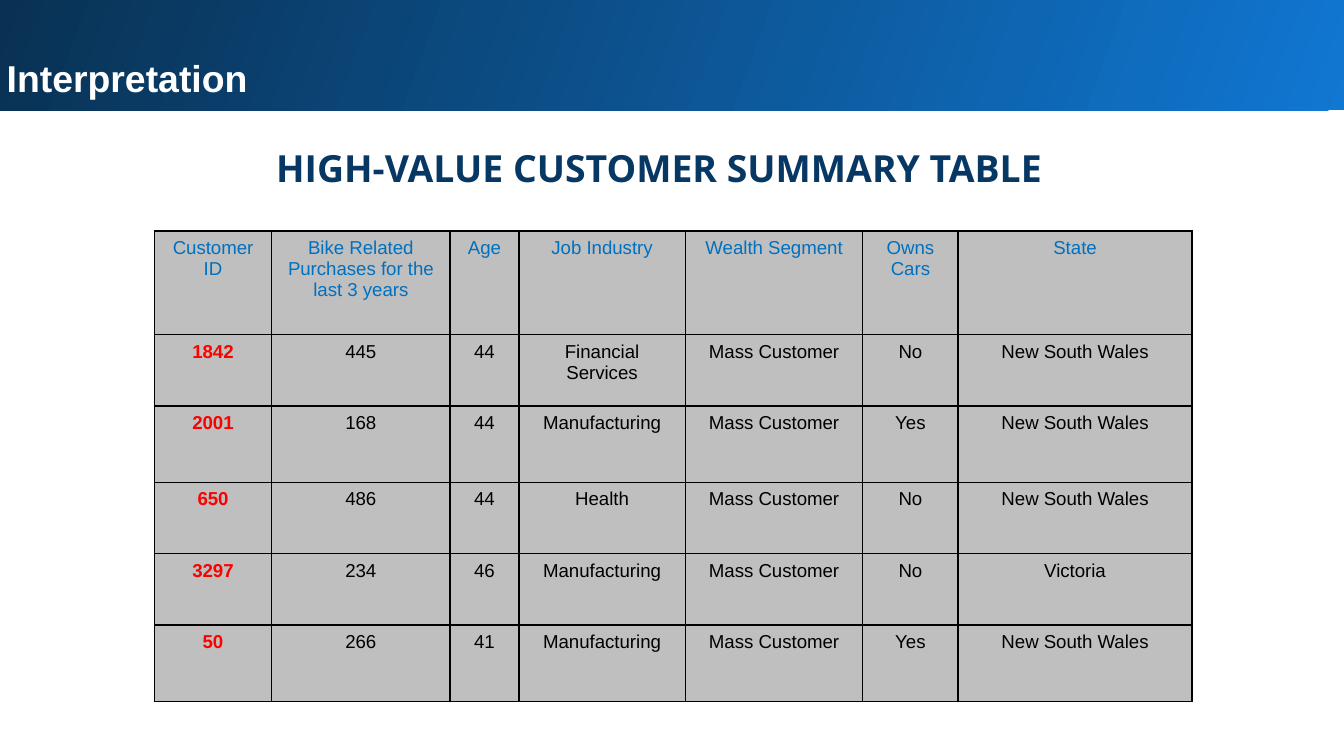
from dataclasses import dataclass

from lxml import etree
from pptx import Presentation
from pptx import util as u
from pptx.dml.color import RGBColor
from pptx.enum import shapes, text
from pptx.oxml import ns

COLORS = {
    "white": "FFFFFF", "black": "000000", "navy": "073763", "red": "FF0000",
    "header": "0070C0", "cell": "BFBFBF", "bright": "1077D2", "dark": "093153",
}
ROW_HEIGHTS = [0.77, 0.53, 0.57, 0.53, 0.53, 0.57]


@dataclass
class Column:
    """A table column: heading, width in inches and body values."""
    heading: str
    width: float
    values: list[str]
    color: str = "black"
    bold: bool = False


COLUMNS = [
    Column("Customer ID", 0.87, ["1842", "2001", "650", "3297", "50"], "red", True),
    Column("Bike Related Purchases for the last 3 years", 1.33,
           ["445", "168", "486", "234", "266"]),
    Column("Age", 0.51, ["44", "44", "44", "46", "41"]),
    Column("Job Industry", 1.24,
           ["Financial Services", "Manufacturing", "Health", "Manufacturing", "Manufacturing"]),
    Column("Wealth Segment", 1.32, ["Mass Customer"] * 5),
    Column("Owns Cars", 0.71, ["No", "Yes", "No", "No", "Yes"]),
    Column("State", 1.74, ["New South Wales"] * 3 + ["Victoria", "New South Wales"]),
]


def rgb(name: str) -> RGBColor:
    """Look up a named colour."""
    return RGBColor.from_string(COLORS[name])


def write(frame, content: str, size: float, color: str, bold: bool = False,
          font: str = "Arial", align=text.PP_ALIGN.CENTER):
    """Fill a text frame with one styled paragraph and return it."""
    frame.word_wrap = True
    paragraph = frame.paragraphs[0]
    paragraph.text = content
    paragraph.alignment = align
    paragraph.font.size = u.Pt(size)
    paragraph.font.name = font
    paragraph.font.bold = bold
    paragraph.font.color.rgb = rgb(color)
    return paragraph


def add_borders(cell, color: str, width: float) -> None:
    """Draw a solid line on all four sides of a cell."""
    properties = cell._tc.get_or_add_tcPr()
    for side in ("lnL", "lnR", "lnT", "lnB"):
        line = etree.SubElement(properties, ns.qn(f"a:{side}"), w=str(u.Pt(width)))
        fill = etree.SubElement(line, ns.qn("a:solidFill"))
        etree.SubElement(fill, ns.qn("a:srgbClr"), val=COLORS[color])


def add_title(slide) -> None:
    """Add the table title."""
    box = slide.shapes.add_textbox(u.Inches(0.22), u.Inches(0.93), u.Inches(9.37), u.Inches(0.56))
    frame = box.text_frame
    frame.margin_top = frame.margin_bottom = u.Inches(0.1)
    paragraph = write(frame, "HIGH-VALUE CUSTOMER SUMMARY TABLE", 20, "navy", True, "Open Sans")
    paragraph.line_spacing = 1.15


def add_customer_table(slide) -> None:
    """Add the customer table, one column at a time."""
    table = slide.shapes.add_table(
        len(ROW_HEIGHTS), len(COLUMNS), u.Inches(1.15), u.Inches(1.72),
        u.Inches(sum(column.width for column in COLUMNS)), u.Inches(sum(ROW_HEIGHTS))).table
    table.horz_banding = False
    for row, height in zip(table.rows, ROW_HEIGHTS):
        row.height = u.Inches(height)
    for index, column in enumerate(COLUMNS):
        table.columns[index].width = u.Inches(column.width)
        for row_index, content in enumerate([column.heading, *column.values]):
            cell = table.cell(row_index, index)
            add_borders(cell, "black", 1)
            cell.fill.solid()
            cell.fill.fore_color.rgb = rgb("cell")
            if row_index == 0:
                write(cell.text_frame, content, 10, "header")
            else:
                write(cell.text_frame, content, 10, column.color, column.bold)


def add_banner(slide) -> None:
    """Add the gradient banner with the slide heading."""
    banner = slide.shapes.add_shape(shapes.MSO_SHAPE.RECTANGLE, 0, 0, u.Inches(10.05), u.Inches(0.82))
    banner.shadow.inherit = False
    banner.line.fill.background()
    banner.fill.gradient()
    banner.fill.gradient_angle = 160
    for stop, color, position in zip(banner.fill.gradient_stops, ("bright", "dark"), (0, 1)):
        stop.color.rgb = rgb(color)
        stop.position = position
    frame = banner.text_frame
    frame.margin_left = frame.margin_right = frame.margin_bottom = u.Inches(0.05)
    frame.margin_top = u.Inches(0.38)
    frame.vertical_anchor = text.MSO_ANCHOR.MIDDLE
    write(frame, "Interpretation", 20, "white", True, align=text.PP_ALIGN.LEFT)


def main() -> None:
    """Build and save the slide."""
    presentation = Presentation()
    presentation.slide_width = u.Inches(10)
    presentation.slide_height = presentation.slide_width * 9 // 16
    slide = presentation.slides.add_slide(presentation.slide_layouts[6])
    add_title(slide)
    add_customer_table(slide)
    add_banner(slide)
    presentation.save("out.pptx")


main()
